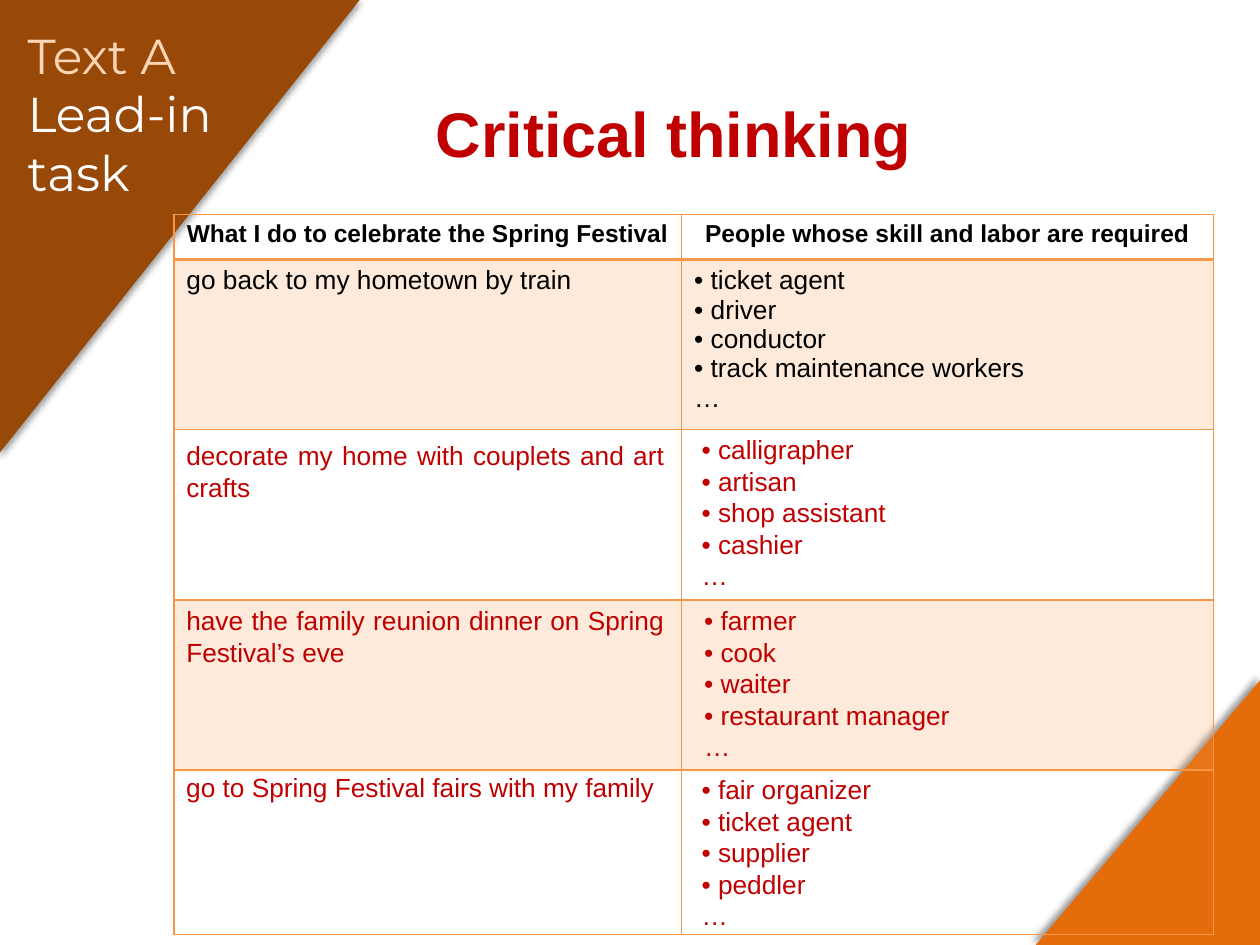
"""Builds the Critical thinking slide about the Spring Festival."""
from lxml import etree
from pptx import Presentation
from pptx import util as u
from pptx.dml.color import RGBColor
from pptx.enum import shapes, text
from pptx.oxml import ns

deck = Presentation()
deck.slide_width, deck.slide_height = u.Inches(10), u.Inches(7.5)
slide = deck.slides.add_slide(deck.slide_layouts[6])
col, row = deck.slide_width / 100, deck.slide_height / 100
hue = RGBColor.from_string
left, just, mid = text.PP_ALIGN.LEFT, text.PP_ALIGN.JUSTIFY, text.PP_ALIGN.CENTER
red, gold = "C00000", "F79646"


def spot(x, y, w, h):
    return int(x * col), int(y * row), int(w * col), int(h * row)


def write(frame, words, size, tint, face="Arial", bold=False, align=left, lead=None):
    frame.text = words
    for para in frame.paragraphs:
        para.alignment = align
        if lead:
            para.line_spacing = u.Pt(lead)
        for run in para.runs:
            run.font.size, run.font.name, run.font.bold = u.Pt(size), face, bold
            run.font.color.rgb = hue(tint)


for x, y, w, h, turn, tint, way in [
    (-3.7, 4.67, 36.1, 38.27, 90, "984807", 90),
    (80.6, 74.13, 21, 23.73, 270, "E46C0A", 225),
]:
    wedge = slide.shapes.add_shape(shapes.MSO_SHAPE.RIGHT_TRIANGLE, *spot(x, y, w, h))
    wedge.rotation = turn
    wedge.fill.solid()
    wedge.fill.fore_color.rgb = hue(tint)
    wedge.line.fill.background()
    wedge.shadow.inherit = False
    glow = etree.SubElement(
        wedge._element.spPr.find(ns.qn("a:effectLst")), ns.qn("a:outerShdw"),
        blurRad=str(u.Pt(4)), dist=str(u.Pt(3)), dir=str(way * 60000), rotWithShape="0")
    black = etree.SubElement(glow, ns.qn("a:srgbClr"), val="000000")
    etree.SubElement(black, ns.qn("a:alpha"), val="40000")

title = slide.shapes.add_textbox(*spot(33.6, 9.33, 40.2, 9.47)).text_frame
title.word_wrap = False
write(title, "Critical thinking", 36, red, bold=True)

wide, high = [40.3, 42.2], [4.8, 18, 18, 18, 17.4]
grid = slide.shapes.add_table(5, 2, *spot(13.8, 22.67, sum(wide), sum(high))).table
grid.first_row = grid.horz_banding = False
for c, w in enumerate(wide):
    grid.columns[c].width = int(w * col)
for r, h in enumerate(high):
    grid.rows[r].height = int(h * row)
    for c in range(2):
        cell = grid.cell(r, c)
        props = cell._tc.get_or_add_tcPr()
        for side in "LRTB":
            thick = 2 if (r, side) in [(0, "B"), (1, "T")] else 1
            edge = etree.SubElement(props, ns.qn("a:ln" + side), w=str(u.Pt(thick)))
            paint = etree.SubElement(edge, ns.qn("a:solidFill"))
            etree.SubElement(paint, ns.qn("a:srgbClr"), val=gold)
        if r % 2:
            cell.fill.solid()
            cell.fill.fore_color.rgb = hue(gold)
            shade = props.find(ns.qn("a:solidFill"))[0]
            etree.SubElement(shade, ns.qn("a:alpha"), val="20000")
        else:
            cell.fill.background()

heads = ["What I do to celebrate the Spring Festival",
         "People whose skill and labor are required"]
first = ["go back to my hometown by train",
         "• ticket agent\n• driver\n• conductor\n• track maintenance workers\n…"]
for c in range(2):
    write(grid.cell(0, c).text_frame, heads[c], 14, "000000", bold=True, align=mid)
    write(grid.cell(1, c).text_frame, first[c], 15, "000000", lead=16.75)

label = slide.shapes.add_textbox(*spot(1.2, 1.33, 22.2, 21.33)).text_frame
label.word_wrap = True
label.vertical_anchor = text.MSO_ANCHOR.MIDDLE
write(label, "Text A \ntask", 28, "FFFFFF", face="Montserrat")
lead = label.paragraphs[0]
lead.runs[0].font.color.rgb = hue("FCD5B5")
tail = lead.add_run()
tail.text = "Lead-in"
tail.font.size, tail.font.name = u.Pt(28), "Montserrat"
tail.font.color.rgb = hue("FFFFFF")

for x, y, w, h, wrap, align, words in [
    (13.8, 45.87, 39.9, 12.53, True, just, "decorate my home with couplets and art crafts"),
    (54.7, 45.2, 16.8, 18.13, False, left,
     "• calligrapher\n• artisan\n• shop assistant\n• cashier\n…"),
    (13.8, 63.33, 39.9, 8.13, True, just,
     "have the family reunion dinner on Spring Festival’s eve"),
    (54.9, 63.33, 21.7, 18.13, False, left,
     "• farmer\n• cook\n• waiter\n• restaurant manager\n…"),
    (13.8, 80.93, 39.6, 4.67, False, left, "go to Spring Festival fairs with my family"),
    (54.7, 81.2, 15.6, 18.13, False, left,
     "• fair organizer\n• ticket agent\n• supplier\n• peddler\n…"),
]:
    note = slide.shapes.add_textbox(*spot(x, y, w, h)).text_frame
    note.word_wrap = wrap
    write(note, words, 15, red, align=align, lead=18)

deck.save("out.pptx")
